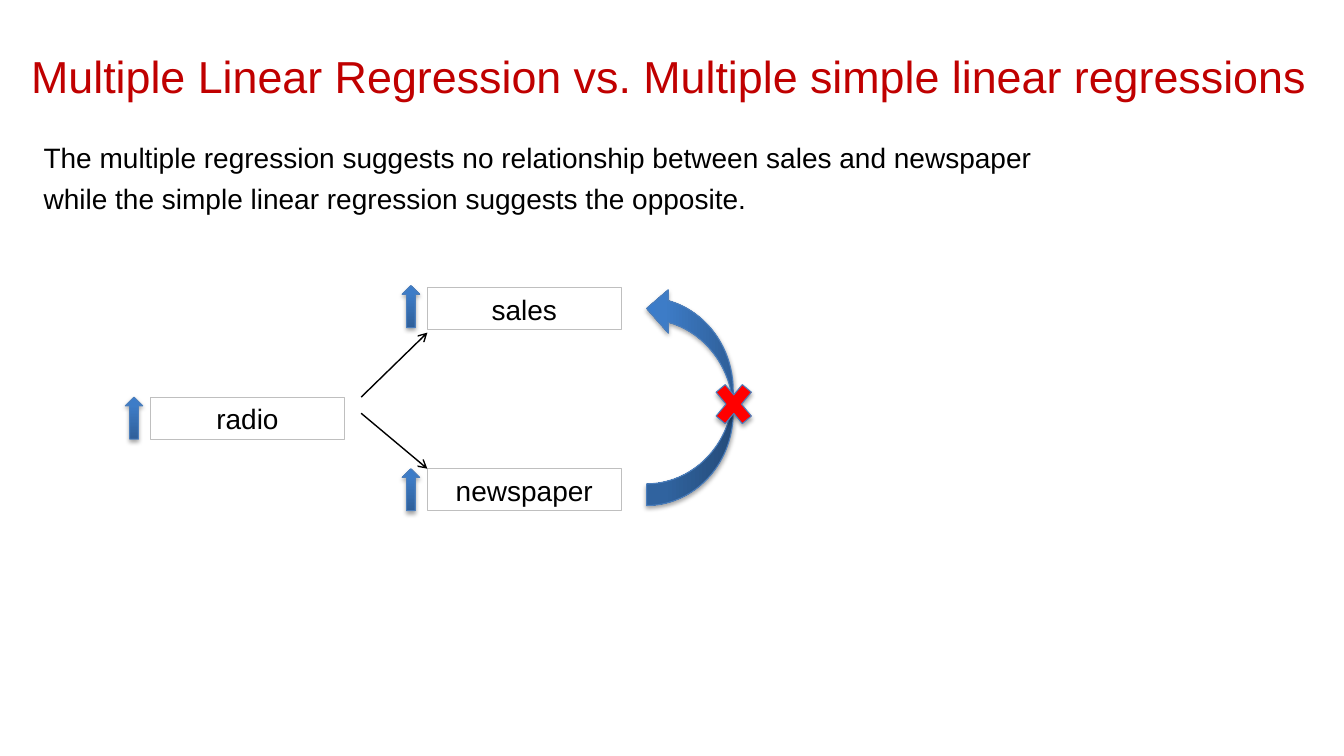
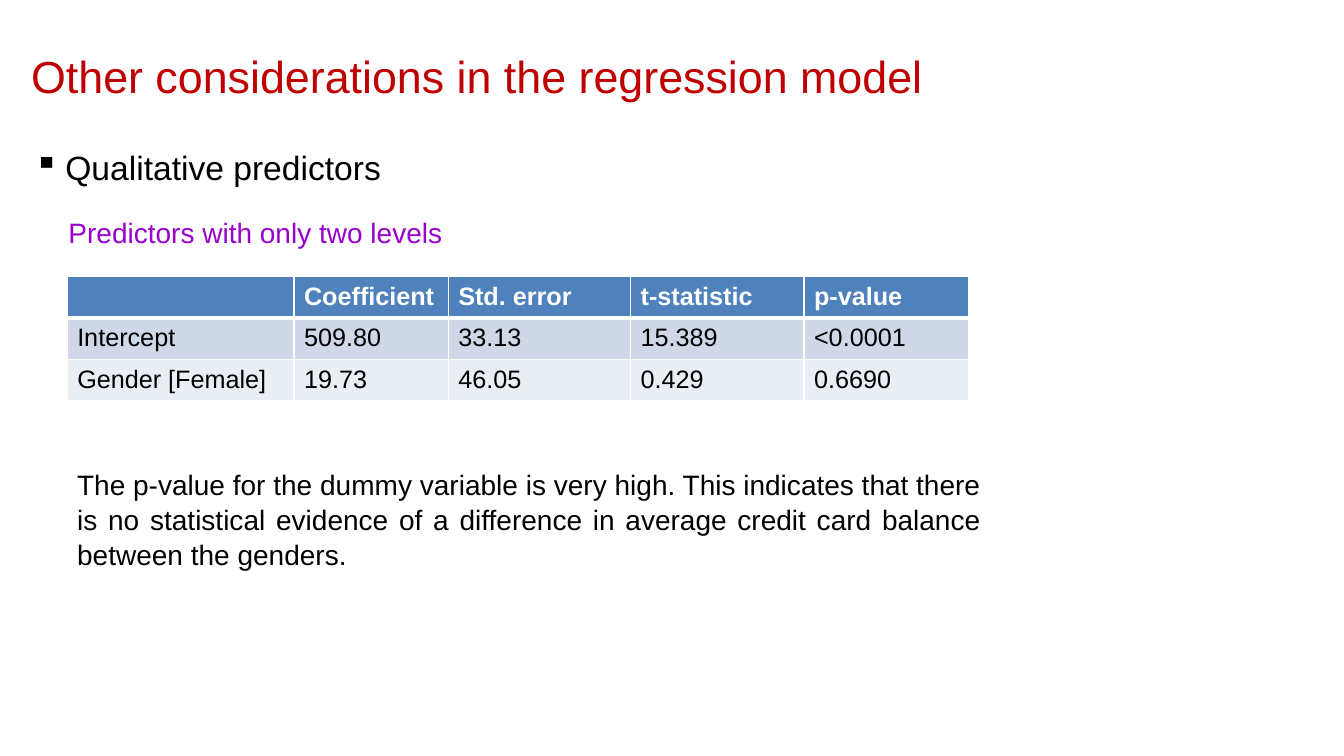
"""Build two slides on multiple regression and qualitative predictors."""
from copy import deepcopy
from dataclasses import dataclass

from lxml import etree
from pptx import Presentation, util as u
from pptx.dml.color import RGBColor
from pptx.enum import shapes as kinds, text as te
from pptx.oxml import ns


@dataclass(frozen=True)
class Theme:
    font: str = "Arial"
    title: str = "C00000"
    ink: str = "000000"
    accent: str = "9900CC"
    paper: str = "FFFFFF"
    frame: str = "BFBFBF"
    arrow_edge: str = "4B7EBC"
    arrow_stops: tuple[tuple[float, str], ...] = ((0, "2F5F99"), (0.8, "3D7CC7"), (1, "3A7CCB"))
    cross: str = "FF0000"
    header: str = "4F81BD"
    bands: tuple[str, str] = ("D0D8E8", "E9EDF4")
    title_size: float = 32
    topic_size: float = 24
    body_size: float = 20
    table_size: float = 18
    leading: float = 1.04
    thin: float = 0.75
    rule: float = 1
    header_rule: float = 3


@dataclass(frozen=True)
class Area:
    """Place in grid units: left column, top row, columns wide, rows high."""
    col: float
    row: float
    cols: float
    rows: float

    def emu(self) -> tuple[int, int, int, int]:
        return grid(self.col), grid(self.row), grid(self.cols), grid(self.rows)


@dataclass(frozen=True)
class Variable:
    label: str
    area: Area
    lift: float = 0


@dataclass(frozen=True)
class Style:
    size: float
    color: str
    bold: bool = False
    align: te.PP_ALIGN = te.PP_ALIGN.LEFT
    gap: float = 0
    bullet: str = ""


THEME = Theme()
COLUMNS, ROWS = 40, 22.5
WIDTH = u.Inches(40 / 3)
CELL = WIDTH / COLUMNS
BODY = Style(THEME.body_size, THEME.ink)
HANG = 0.93


def grid(units: float) -> int:
    return round(units * CELL)


def rgb(color: str) -> RGBColor:
    return RGBColor.from_string(color)


def write(frame, lines: list[str], style: Style) -> None:
    for index, line in enumerate(lines):
        paragraph = frame.paragraphs[0] if index == 0 else frame.add_paragraph()
        paragraph.alignment = style.align
        paragraph.line_spacing = THEME.leading
        if index:
            paragraph.space_before = u.Pt(style.gap)
        if style.bullet:
            props = paragraph._p.get_or_add_pPr()
            props.set("marL", str(grid(HANG)))
            props.set("indent", str(-grid(HANG)))
            etree.SubElement(props, ns.qn("a:buChar"), char=style.bullet)
        run = paragraph.add_run()
        run.text = line
        run.font.name, run.font.size = THEME.font, u.Pt(style.size)
        run.font.bold = style.bold
        run.font.color.rgb = rgb(style.color)


def add_text(slide, area: Area, lines: list[str], style: Style) -> None:
    frame = slide.shapes.add_textbox(*area.emu()).text_frame
    frame.word_wrap = True
    write(frame, lines, style)


def add_slide(deck, title: str):
    slide = deck.slides.add_slide(deck.slide_layouts[6])
    add_text(slide, Area(0.63, 1.23, 39.37, 2.22), [title],
             Style(THEME.title_size, THEME.title))
    return slide


def add_outlined(slide, kind: kinds.MSO_SHAPE, area: Area, edge: str):
    outlined = slide.shapes.add_shape(kind, *area.emu())
    outlined.shadow.inherit = False
    outlined.line.color.rgb = rgb(edge)
    outlined.line.width = u.Pt(THEME.thin)
    return outlined


def add_shadow(symbol) -> None:
    effects = symbol._element.spPr.find(ns.qn("a:effectLst"))
    shadow = etree.SubElement(effects, ns.qn("a:outerShdw"), blurRad="40000",
                              dist="23000", dir="5400000", rotWithShape="0")
    tint = etree.SubElement(shadow, ns.qn("a:srgbClr"), val=THEME.ink)
    etree.SubElement(tint, ns.qn("a:alpha"), val="35000")


def add_arrow(slide, kind: kinds.MSO_SHAPE, area: Area, turn: float = 0) -> None:
    arrow = add_outlined(slide, kind, area, THEME.arrow_edge)
    arrow.rotation = turn
    arrow.fill.gradient()
    arrow.fill.gradient_angle = 90
    stops = arrow._element.spPr.find(".//" + ns.qn("a:gsLst"))
    stops.append(deepcopy(stops[-1]))
    for stop, (position, color) in zip(arrow.fill.gradient_stops, THEME.arrow_stops):
        stop.position = position
        stop.color.rgb = rgb(color)
    add_shadow(arrow)


def add_variable(slide, variable: Variable) -> None:
    area = variable.area
    box = add_outlined(slide, kinds.MSO_SHAPE.RECTANGLE, area, THEME.frame)
    box.fill.background()
    box.text_frame.vertical_anchor = te.MSO_ANCHOR.MIDDLE
    write(box.text_frame, [variable.label],
          Style(THEME.body_size, THEME.ink, align=te.PP_ALIGN.CENTER))
    add_arrow(slide, kinds.MSO_SHAPE.UP_ARROW,
              Area(area.col - 0.75, area.row - variable.lift, 0.52, area.rows))


def add_influence(slide, start: tuple[float, float], end: tuple[float, float]) -> None:
    influence = slide.shapes.add_connector(
        kinds.MSO_CONNECTOR.STRAIGHT, *(grid(units) for units in start + end))
    influence.line.color.rgb = rgb(THEME.ink)
    influence.line.width = u.Pt(THEME.rule)
    etree.SubElement(influence.line._get_or_add_ln(), ns.qn("a:tailEnd"), type="arrow")
    etree.SubElement(influence._element.spPr, ns.qn("a:effectLst"))


def add_borders(cell, top: float, bottom: float) -> None:
    props = cell._tc.get_or_add_tcPr()
    widths = {"lnL": THEME.rule, "lnR": THEME.rule, "lnT": top, "lnB": bottom}
    for side, width in widths.items():
        border = etree.SubElement(props, ns.qn(f"a:{side}"), w=str(u.Pt(width)))
        paint = etree.SubElement(border, ns.qn("a:solidFill"))
        etree.SubElement(paint, ns.qn("a:srgbClr"), val=THEME.paper)


def add_results(slide, area: Area, widths: list[float], records: list[list[str]]) -> None:
    results = slide.shapes.add_table(len(records), len(widths), *area.emu()).table
    for column, width in zip(results.columns, widths):
        column.width = grid(width)
    fills = (THEME.header, *THEME.bands)
    for r, record in enumerate(records):
        results.rows[r].height = grid(area.rows / len(records))
        style = Style(THEME.table_size, THEME.ink if r else THEME.paper, bold=r == 0)
        for c, value in enumerate(record):
            cell = results.cell(r, c)
            add_borders(cell, THEME.header_rule if r == 1 else THEME.rule,
                        THEME.rule if r else THEME.header_rule)
            cell.fill.solid()
            cell.fill.fore_color.rgb = rgb(fills[r])
            if value:
                write(cell.text_frame, [value], style)


def build_comparison(deck) -> None:
    slide = add_slide(deck, "Multiple Linear Regression vs. Multiple simple linear regressions")
    add_text(slide, Area(1, 4, 32.25, 2.46), [
        "The multiple regression suggests no relationship between sales and newspaper",
        "while the simple linear regression suggests the opposite.",
    ], Style(THEME.body_size, THEME.ink, gap=4))
    width, height, outcome_col = 5.77, 1.25, 12.72
    radio = Variable("radio", Area(4.48, 11.82, width, height))
    sales = Variable("sales", Area(outcome_col, 8.56, width, height), lift=0.06)
    newspaper = Variable("newspaper", Area(outcome_col, 13.95, width, height))
    for variable in (radio, sales, newspaper):
        add_variable(slide, variable)
    source_col = radio.area.col + width + 0.5
    add_influence(slide, (source_col, radio.area.row), (outcome_col, 9.9))
    add_influence(slide, (source_col, 12.3), (outcome_col, newspaper.area.row))
    add_arrow(slide, kinds.MSO_SHAPE.CURVED_UP_ARROW, Area(17.28, 10.5, 6.51, 2.58), 270)
    cross = add_outlined(slide, kinds.MSO_SHAPE.MATH_MULTIPLY,
                         Area(21.09, 11.13, 1.5, 1.8), THEME.arrow_edge)
    cross.fill.solid()
    cross.fill.fore_color.rgb = rgb(THEME.cross)
    add_shadow(cross)


def build_predictors(deck) -> None:
    slide = add_slide(deck, "Other considerations in the regression model")
    add_text(slide, Area(0.72, 4.17, 28.74, 1.5), ["Qualitative predictors"],
             Style(THEME.topic_size, THEME.ink, bullet="▪"))
    add_text(slide, Area(1.74, 6.24, 18.5, 1.32), ["Predictors with only two levels"],
             Style(THEME.body_size, THEME.accent))
    add_results(slide, Area(2, 8.22, 26.82, 3.66), [6.75, 4.59, 5.43, 5.16, 4.89], [
        ["", "Coefficient", "Std. error", "t-statistic", "p-value"],
        ["Intercept", "509.80", "33.13", "15.389", "<0.0001"],
        ["Gender [Female]", "19.73", "46.05", "0.429", "0.6690"],
    ])
    add_text(slide, Area(2, 13.74, 27.5, 3.33), [
        "The p-value for the dummy variable is very high. This indicates that there is no "
        "statistical evidence of a difference in average credit card balance between the genders.",
    ], Style(THEME.body_size, THEME.ink, align=te.PP_ALIGN.JUSTIFY))


def main() -> None:
    deck = Presentation()
    deck.slide_width, deck.slide_height = WIDTH, grid(ROWS)
    build_comparison(deck)
    build_predictors(deck)
    deck.save("out.pptx")


if __name__ == "__main__":
    main()
